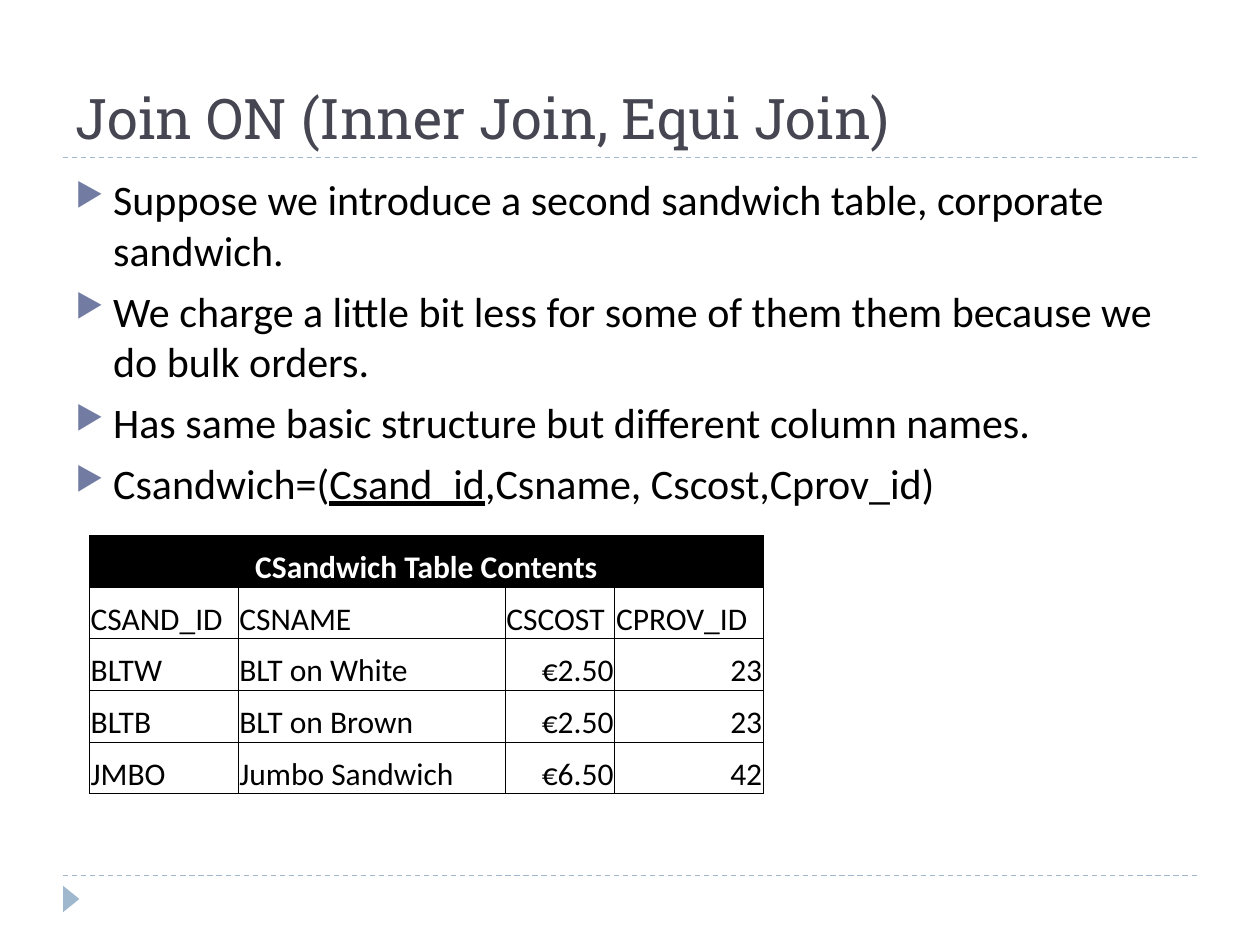
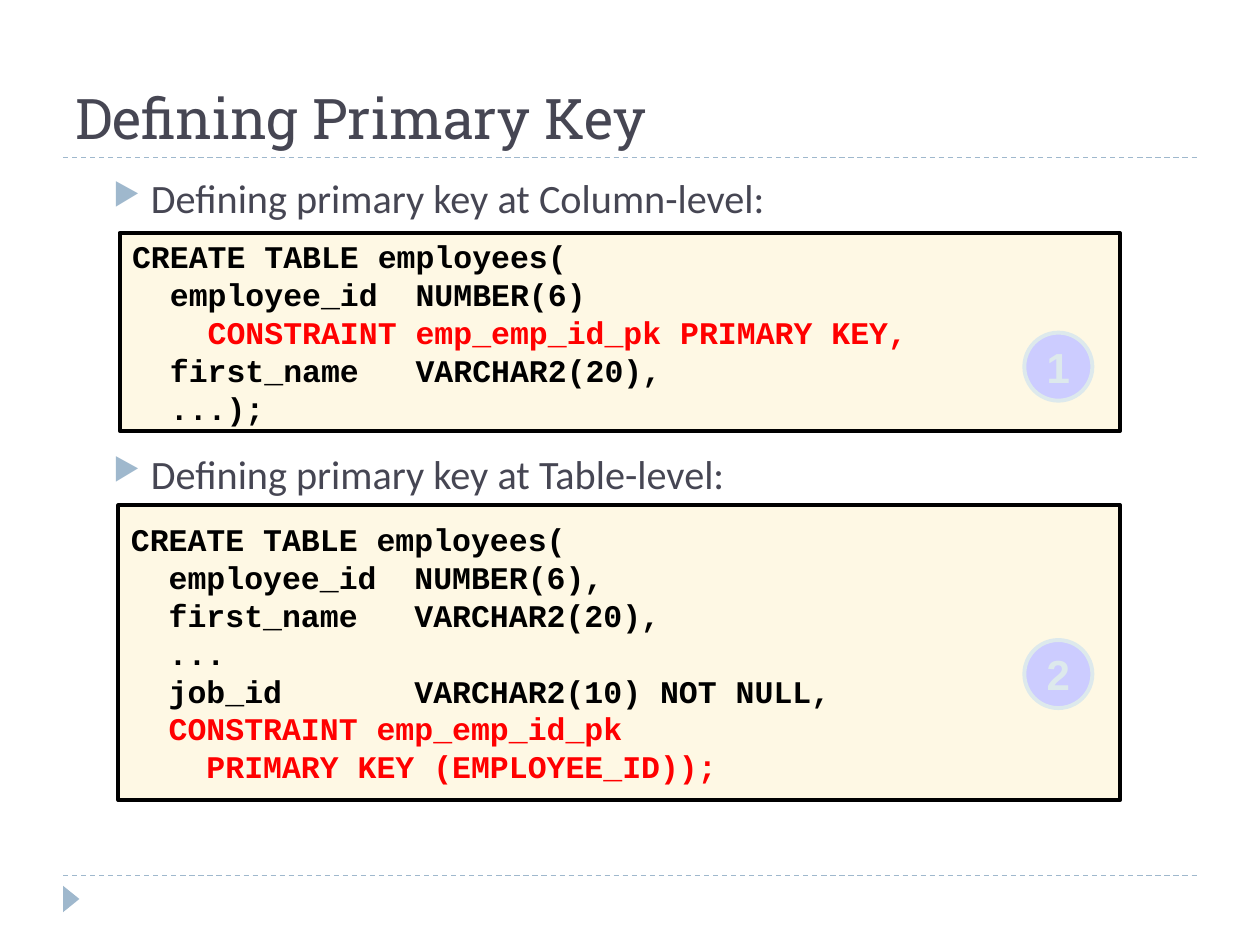
from lxml.etree import SubElement
from pptx import Presentation
from pptx.dml.color import RGBColor
from pptx.enum.dml import MSO_LINE
from pptx.enum.shapes import MSO_CONNECTOR, MSO_SHAPE
from pptx.enum.text import MSO_ANCHOR, PP_ALIGN
from pptx.oxml.ns import qn
from pptx.util import Inches, Pt

COLORS = {
    "title": "464653", "accent": "9FB8CD", "bullet": "727CA3",
    "black": "000000", "white": "FFFFFF", "code": "FEF8E4",
    "red": "FF0000", "badge": "CCCCFF", "badge_edge": "DDE9EC",
}
BODY_FONT = "Calibri"
BODY_BOX = (0.5, 1.33, 9, 5.4)


def rgb(name):
    return RGBColor.from_string(COLORS[name])


def inches(box):
    return [Inches(length) for length in box]


def add_run(para, text, size, color, font=BODY_FONT, bold=False, underline=False):
    span = para.add_run()
    span.text = text
    span.font.size = Pt(size)
    span.font.name = font
    span.font.bold = bold
    span.font.underline = underline
    span.font.color.rgb = rgb(color)


def next_paragraph(frame, index):
    return frame.add_paragraph() if index else frame.paragraphs[0]


def add_filled_shape(slide, kind, box, fill, edge=None):
    shape = slide.shapes.add_shape(kind, *inches(box))
    shape.shadow.inherit = False
    shape.fill.solid()
    shape.fill.fore_color.rgb = rgb(fill)
    if edge:
        shape.line.color.rgb = rgb(edge)
        shape.line.width = Pt(2.25)
    else:
        shape.line.fill.background()
    return shape


def add_dashed_rule(slide, top):
    rule = slide.shapes.add_connector(
        MSO_CONNECTOR.STRAIGHT, *inches((0.5, top, 9.5, top)))
    rule.line.color.rgb = rgb("accent")
    rule.line.width = Pt(0.75)
    rule.line.dash_style = MSO_LINE.DASH
    SubElement(rule.element.spPr, qn("a:effectLst"))


def add_titled_slide(deck, heading):
    slide = deck.slides.add_slide(deck.slide_layouts[5])
    add_dashed_rule(slide, 6.95)
    add_dashed_rule(slide, 1.25)
    marker = add_filled_shape(
        slide, MSO_SHAPE.ISOSCELES_TRIANGLE, (0.46, 7.07, 0.21, 0.13), "accent")
    marker.rotation = 90
    title = slide.shapes.title
    title.left, title.top, title.width, title.height = inches((0.5, 0.17, 9, 1.08))
    title.text_frame.vertical_anchor = MSO_ANCHOR.BOTTOM
    para = title.text_frame.paragraphs[0]
    para.alignment = PP_ALIGN.LEFT
    add_run(para, heading, 32, "title", "Roboto Slab")
    return slide


def set_bullet(para, indent, color):
    properties = para._p.get_or_add_pPr()
    properties.set("marL", str(Inches(indent)))
    properties.set("indent", str(-Inches(0.3)))
    tint = SubElement(properties, qn("a:buClr"))
    SubElement(tint, qn("a:srgbClr"), val=COLORS[color])
    SubElement(properties, qn("a:buSzPct"), val="76000")
    SubElement(properties, qn("a:buChar"), char="▶")


def add_bullets(slide, box, items, gaps, size, color, indent, bullet):
    frame = slide.shapes.add_textbox(*inches(box)).text_frame
    frame.word_wrap = True
    for index, (runs, gap) in enumerate(zip(items, gaps)):
        para = next_paragraph(frame, index)
        para.space_before = Pt(gap)
        set_bullet(para, indent, bullet)
        for text, underline in runs:
            add_run(para, text, size, color, underline=underline)


def set_borders(cell):
    properties = cell._tc.get_or_add_tcPr()
    for position, side in enumerate(("lnL", "lnR", "lnT", "lnB")):
        border = SubElement(properties, qn(f"a:{side}"), w=str(Pt(0.5)))
        paint = SubElement(border, qn("a:solidFill"))
        SubElement(paint, qn("a:srgbClr"), val=COLORS["black"])
        properties.insert(position, border)


def add_sandwich_table(slide, box, heading, rows, widths):
    grid = slide.shapes.add_table(len(rows) + 1, len(widths), *inches(box)).table
    for column, width in zip(grid.columns, widths):
        column.width = Inches(width)
    for line in grid.rows:
        line.height = Inches(box[3] / len(grid.rows))
    grid.cell(0, 0).merge(grid.cell(0, len(widths) - 1))
    header = [heading] + [""] * (len(widths) - 1)
    for row, values in enumerate([header] + rows):
        for column, value in enumerate(values):
            cell = grid.cell(row, column)
            cell.margin_left = cell.margin_right = cell.margin_top = Inches(0.01)
            cell.margin_bottom = 0
            cell.vertical_anchor = MSO_ANCHOR.BOTTOM
            if row == 0:
                cell.fill.solid()
                cell.fill.fore_color.rgb = rgb("black")
            else:
                cell.fill.background()
            set_borders(cell)
            para = cell.text_frame.paragraphs[0]
            para.space_before = Pt(4)
            if row == 0:
                para.alignment = PP_ALIGN.CENTER
            elif row > 1 and column > 1:
                para.alignment = PP_ALIGN.RIGHT
            if value:
                add_run(para, value, 18, "black" if row else "white", bold=row == 0)


def add_code_panel(slide, box, lines, number, badge_top):
    left, top, width, height = box
    panel = add_filled_shape(slide, MSO_SHAPE.RECTANGLE, box, "code", "black")
    frame = panel.text_frame
    frame.word_wrap = True
    frame.vertical_anchor = MSO_ANCHOR.MIDDLE
    for index, (text, color) in enumerate(lines):
        para = next_paragraph(frame, index)
        para.alignment = PP_ALIGN.LEFT
        add_run(para, text, 18, color, "Courier New", bold=True)

    badge_box = (left + width - 0.76, top + badge_top, 0.54, 0.54)
    badge = add_filled_shape(slide, MSO_SHAPE.OVAL, badge_box, "badge", "badge_edge")
    label = badge.text_frame
    label.margin_left = label.margin_right = label.margin_top = label.margin_bottom = 0
    label.vertical_anchor = MSO_ANCHOR.MIDDLE
    label.paragraphs[0].alignment = PP_ALIGN.CENTER
    add_run(label.paragraphs[0], number, 24, "badge_edge", "Arial", bold=True)


def build_join_slide(deck):
    slide = add_titled_slide(deck, "Join ON (Inner Join, Equi Join)")
    items = [
        [("Suppose we introduce a second sandwich table, corporate sandwich.", False)],
        [("We charge a little bit less for some of them them because we do bulk orders.",
          False)],
        [("Has same basic structure but different column names.", False)],
        [("Csandwich=(", False), ("Csand_id", True),
         (",Csname, Cscost,Cprov_id)", False)],
    ]
    add_bullets(slide, BODY_BOX, items, [6] * len(items), 24, "black", 0.3, "bullet")
    rows = [
        ["CSAND_ID", "CSNAME", "CSCOST", "CPROV_ID"],
        ["BLTW", "BLT on White", "€2.50", "23"],
        ["BLTB", "BLT on Brown", "€2.50", "23"],
        ["JMBO", "Jumbo Sandwich", "€6.50", "42"],
    ]
    add_sandwich_table(slide, (0.71, 4.25, 5.35, 2.05), "CSandwich Table Contents",
                       rows, (1.18, 2.12, 0.87, 1.18))


def build_primary_key_slide(deck):
    slide = add_titled_slide(deck, "Defining Primary Key")
    items = [
        [("Defining primary key at Column-level:", False)],
        [("Defining primary key at Table-level:", False)],
    ]
    add_bullets(slide, BODY_BOX, items, (5, 130), 23, "title", 0.6, "accent")
    column_level = [
        ("CREATE TABLE employees(", "black"),
        ("  employee_id  NUMBER(6)", "black"),
        ("    CONSTRAINT emp_emp_id_pk PRIMARY KEY,", "red"),
        ("  first_name   VARCHAR2(20),", "black"),
        ("  ...);", "black"),
    ]
    table_level = [
        ("CREATE TABLE employees(", "black"),
        ("  employee_id  NUMBER(6),", "black"),
        ("  first_name   VARCHAR2(20),", "black"),
        ("  ...", "black"),
        ("  job_id       VARCHAR2(10) NOT NULL,", "black"),
        ("  CONSTRAINT emp_emp_id_pk", "red"),
        ("    PRIMARY KEY (EMPLOYEE_ID));", "red"),
    ]
    add_code_panel(slide, (0.95, 1.85, 7.94, 1.57), column_level, "1", 0.79)
    add_code_panel(slide, (0.94, 4.01, 7.95, 2.34), table_level, "2", 1.07)


def main():
    deck = Presentation()
    deck.slide_width, deck.slide_height = Inches(10), Inches(7.5)
    build_join_slide(deck)
    build_primary_key_slide(deck)
    deck.save("out.pptx")


if __name__ == "__main__":
    main()
